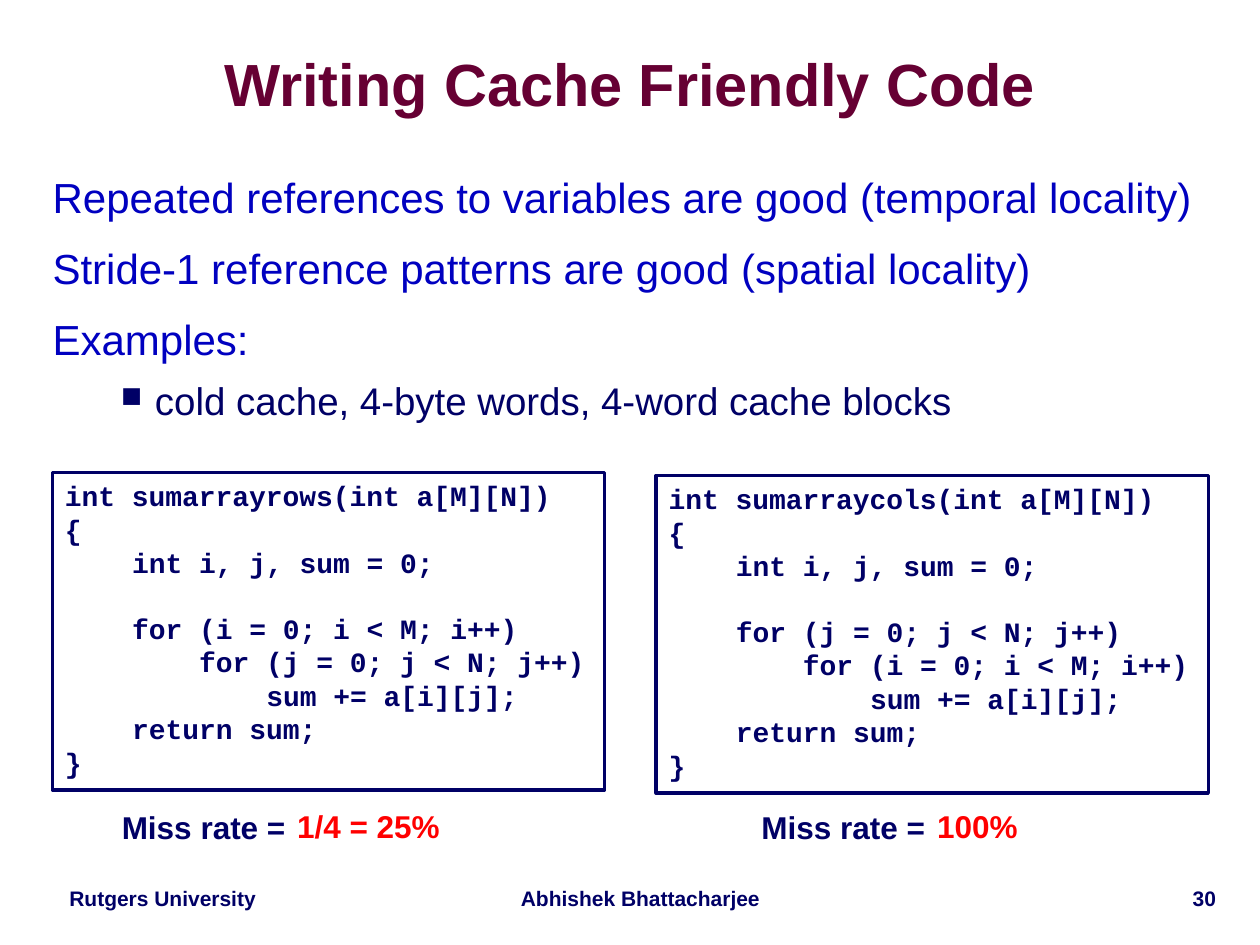
import pptx
import pptx.dml.color
import pptx.enum.shapes
import pptx.enum.text
import pptx.oxml
import pptx.oxml.ns
import pptx.util

Pt = pptx.util.Pt
ALIGN = pptx.enum.text.PP_ALIGN
ANCHOR = pptx.enum.text.MSO_ANCHOR
COLORS = {"navy": "000066", "blue": "0000C0", "wine": "660033", "red": "FF0000"}
CODE_SIZE = 16
INDENT = 38.4


class Deck:
    """Holds the text style and the current slide, and adds elements to it."""

    def __init__(self, prs, font="Arial", mono="Courier New"):
        self.s = prs.slides.add_slide(prs.slide_layouts[6])
        self.font = font
        self.mono = mono

    def color(self, name):
        return pptx.dml.color.RGBColor.from_string(COLORS[name])

    def style(self, p, text, size, color, bold=True, font=None, align=ALIGN.LEFT,
              spacing=1.0, before=0):
        p.text = text
        p.alignment = align
        p.line_spacing = spacing
        p.space_before = Pt(before)
        p.font.name = font or self.font
        p.font.size = Pt(size)
        p.font.bold = bold
        p.font.color.rgb = self.color(color)

    def frame(self, sp, inset=(7.2, 3.6), anchor=ANCHOR.TOP):
        tf = sp.text_frame
        tf.word_wrap = True
        tf.vertical_anchor = anchor
        tf.margin_left = tf.margin_right = Pt(inset[0])
        tf.margin_top = tf.margin_bottom = Pt(inset[1])
        return tf

    def text(self, box, text, size, color="navy", inset=(7.2, 3.6),
             anchor=ANCHOR.TOP, **style):
        tf = self.frame(self.s.shapes.add_textbox(*map(Pt, box)), inset, anchor)
        self.style(tf.paragraphs[0], text, size, color, **style)

    def body(self, box, points, detail):
        tf = self.frame(self.s.shapes.add_textbox(*map(Pt, box)))
        for i, point in enumerate(points):
            p = tf.add_paragraph() if i else tf.paragraphs[0]
            self.style(p, point, 24, "blue", bold=False, spacing=0.95,
                       before=13.2 if i else 0)
        p = tf.add_paragraph()
        self.style(p, detail, 22, "navy", bold=False, before=7)
        self.bullet(p, "■", 75, left=58.5, hang=19.5)

    def bullet(self, p, char, percent, left, hang):
        pPr = p._p.get_or_add_pPr()
        pPr.set("marL", str(Pt(left)))
        pPr.set("indent", str(-Pt(hang)))
        size = pptx.oxml.parse_xml(
            f'<a:buSzPct {pptx.oxml.ns.nsdecls("a")} val="{percent * 1000}"/>')
        mark = pptx.oxml.parse_xml(
            f'<a:buChar {pptx.oxml.ns.nsdecls("a")} char="{char}"/>')
        place = pPr.find(pptx.oxml.ns.qn("a:defRPr"))
        place.addprevious(size)
        place.addprevious(mark)

    def code(self, box, lines):
        sp = self.s.shapes.add_shape(
            pptx.enum.shapes.MSO_SHAPE.RECTANGLE, *map(Pt, box))
        sp.shadow.inherit = False
        sp.fill.background()
        sp.line.color.rgb = self.color("navy")
        sp.line.width = Pt(2)
        tf = self.frame(sp)
        for i, (level, line, before) in enumerate(lines):
            p = tf.add_paragraph() if i else tf.paragraphs[0]
            self.style(p, line, CODE_SIZE, "navy", font=self.mono, before=before)
            pPr = p._p.get_or_add_pPr()
            pPr.set("marL", str(Pt(level * INDENT)))
            pPr.set("indent", "0")


def sum_function(name, outer, inner):
    loop = "for ({0} = 0; {0} < {1}; {0}++)"
    return [
        (0, f"int {name}(int a[M][N])", 0),
        (0, "{", 0),
        (1, "int i, j, sum = 0;", 0),
        (1, loop.format(*outer), 18.1),
        (2, loop.format(*inner), 0),
        (3, "sum += a[i][j];", 0),
        (1, "return sum;", 0),
        (0, "}", 0),
    ]


def main():
    prs = pptx.Presentation()
    prs.slide_width, prs.slide_height = Pt(720), Pt(540)
    deck = Deck(prs)

    for left, width, text, align in (
            (24, 138, "Rutgers University", ALIGN.CENTER),
            (288, 156, "Abhishek Bhattacharjee", ALIGN.CENTER),
            (588, 114, "30", ALIGN.RIGHT)):
        deck.text((left, 504, width, 20), text, 12, align=align, spacing=0.9)

    deck.text((22, 19.5, 676, 61), "Writing Cache Friendly Code", 34, "wine",
              inset=(0, 0), anchor=ANCHOR.MIDDLE, align=ALIGN.CENTER, spacing=0.87)
    deck.body((23, 96.5, 679, 396),
              ["Repeated references to variables are good (temporal locality)",
               "Stride-1 reference patterns are good (spatial locality)",
               "Examples:"],
              "cold cache, 4-byte words, 4-word cache blocks")

    rows, cols = ("i", "M"), ("j", "N")
    for left, top, name, outer, inner in (
            (30, 270, "sumarrayrows", rows, cols),
            (375, 271.7, "sumarraycols", cols, rows)):
        deck.code((left, top, 315.5, 181.5), sum_function(name, outer, inner))

    for left, rate_left, rate_width, rate in (
            (62.5, 150, 121, "1/4 = 25%"), (428, 531.5, 54, "100%")):
        deck.text((left, 458, 109, 29), "Miss rate =", 18)
        deck.text((rate_left, 460, rate_width, 27), rate, 18, "red",
                  inset=(3.6, 3.6), align=ALIGN.CENTER, spacing=0.9)

    prs.save("out.pptx")


if __name__ == "__main__":
    main()
